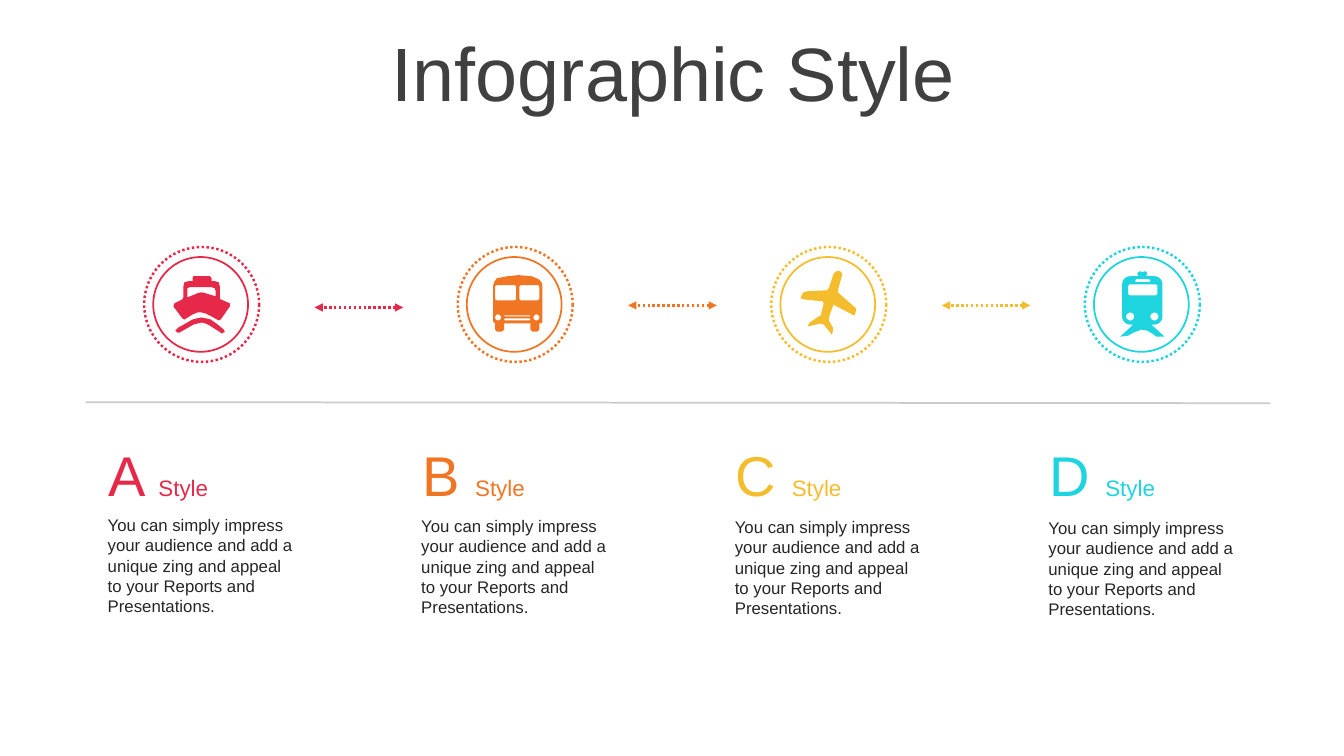
from math import cos, radians, sin

from lxml import etree
from pptx import Presentation
from pptx import util as u
from pptx.dml.color import RGBColor
from pptx.enum import dml, shapes, text
from pptx.oxml.ns import qn

PX = 9144  # one px is a hundredth of an inch
PITCH = 311
CENTRE_X, CENTRE_Y = 200, 302
BLURB = ("You can simply impress your audience and add a unique zing and "
         "appeal to your Reports and Presentations.")


def px(*lengths):
    return [u.Emu(round(length * PX)) for length in lengths]


def rgb(code):
    return RGBColor.from_string(code)


def rounded(left, top, right, bottom, radius):
    """Outline of a rectangle with rounded corners."""
    corners = [(right - radius, bottom - radius, 0),
               (left + radius, bottom - radius, 90),
               (left + radius, top + radius, 180),
               (right - radius, top + radius, 270)]
    return [(x + radius * cos(radians(start + turn)),
             y + radius * sin(radians(start + turn)))
            for x, y, start in corners for turn in range(0, 91, 15)]


def disc(x, y, radius):
    return rounded(x - radius, y - radius, x + radius, y + radius, radius)


# Icon outlines, measured from the centre of their circle
SHIP = [
    [(-8, -28), (8, -28), (10, -26), (10, -23), (13, -23), (17, -22),
     (18, -18), (18, -6), (19, -5), (28, -1), (28, 2), (19, 15), (17, 16),
     (10, 12), (4, 9), (0, 8), (-4, 8), (-9, 10), (-17, 15), (-19, 14),
     (-28, 2), (-27, -1), (-19, -5), (-18, -7), (-18, -18), (-17, -22),
     (-13, -23), (-9, -23), (-9, -26)],
    [(-12, -17), (-14, -16), (-14, -7), (-4, -11), (0, -12), (4, -11),
     (14, -8), (14, -13), (13, -16), (10, -17)],
    [(0, 13), (5, 14), (9, 15), (16, 20), (22, 25), (23, 27), (20, 29),
     (19, 28), (8, 21), (4, 19), (0, 18), (-4, 19), (-8, 20), (-22, 28),
     (-24, 28), (-26, 26), (-23, 23), (-9, 15), (-5, 14)],
]
BUS = [
    [(-22, -18), (-21, -22), (-18, -26), (-7, -28), (3, -29), (16, -28),
     (23, -25), (26, -22), (27, -18), (27, 17), (26, 19), (24, 19), (24, 25),
     (22, 27), (17, 27), (15, 25), (15, 19), (-11, 19), (-11, 25), (-13, 27),
     (-18, 27), (-20, 25), (-20, 19), (-22, 17)],
    rounded(-20, -19, 1, -4, 2),
    rounded(4, -19, 24, -4, 2),
    rounded(-11, 11, 15, 12, 0.5),
    rounded(-11, 14, 15, 16, 1),
    disc(-17, 13, 3),
    disc(21, 13, 3),
]
PLANE = [
    [(3, 30), (-5, 20), (-8, 19), (-21, 22), (-19, 18), (-10, 12), (-8, 11),
     (-5, -1), (-6, -3), (-25, -5), (-28, -6), (-27, -9), (-25, -12),
     (-21, -13), (-2, -14), (0, -16), (4, -28), (5, -31), (8, -33), (11, -33),
     (13, -31), (13, -28), (9, -14), (9, -12), (10, -11), (27, 4), (27, 6),
     (26, 10), (25, 11), (6, 1), (5, 0), (4, 2), (0, 13), (0, 16), (4, 23),
     (4, 27)],
]
TRAIN = [
    rounded(-20, -28, 20, 20, 8),
    rounded(-14, -20, 15, -9, 2),
    rounded(-7, -25, 8, -22, 1.5),
    disc(-12, 12, 4),
    disc(12, 12, 4),
    [(-4, -28), (-5, -31), (-2, -33), (0, -32), (3, -33), (5, -31), (4, -28)],
    [(-9, 20), (9, 20), (22, 32), (14, 32), (10, 29), (5, 26), (-1, 25),
     (-9, 28), (-14, 31), (-22, 32)],
]
STYLES = [("A", "E62949", SHIP), ("B", "F07624", BUS),
          ("C", "F4BD2D", PLANE), ("D", "1ED4DE", TRAIN)]


def add_text(parent, box, runs, anchor=text.MSO_ANCHOR.TOP):
    """Text box with one paragraph of (words, size, colour) runs."""
    frame = parent.add_textbox(*px(*box)).text_frame
    frame.word_wrap = True
    frame.vertical_anchor = anchor
    paragraph = frame.paragraphs[0]
    for words, size, color in runs:
        run = paragraph.add_run()
        run.text = words
        run.font.name = "Arial"
        run.font.size = u.Pt(size)
        run.font.color.rgb = rgb(color)
    return frame


def set_line(shape, color, width, dotted=False):
    shape.line.color.rgb = rgb(color)
    shape.line.width = u.Pt(width)
    if dotted:
        shape.line.dash_style = dml.MSO_LINE.ROUND_DOT


def add_line(slide, ends, color, width, arrow=False):
    line = slide.shapes.add_connector(shapes.MSO_CONNECTOR.STRAIGHT, *px(*ends))
    set_line(line, color, width, dotted=arrow)
    if arrow:
        for end in ("a:headEnd", "a:tailEnd"):
            etree.SubElement(line.line._get_or_add_ln(), qn(end), type="triangle")
    etree.SubElement(line._element.spPr, qn("a:effectLst"))


def add_circle(slide, x, y, size, color, width, dotted=False):
    circle = slide.shapes.add_shape(
        shapes.MSO_SHAPE.OVAL, *px(x - size / 2, y - size / 2, size, size))
    circle.rotation = 180
    circle.shadow.inherit = False
    circle.fill.background()
    set_line(circle, color, width, dotted)


def add_icon(slide, x, y, outlines, color):
    placed = [[px(x + dx, y + dy) for dx, dy in outline] for outline in outlines]
    builder = slide.shapes.build_freeform(*placed[0][0])
    builder.add_line_segments(placed[0][1:])
    for outline in placed[1:]:
        builder.move_to(*outline[0])
        builder.add_line_segments(outline[1:])
    icon = builder.convert_to_shape()
    icon.shadow.inherit = False
    icon.fill.solid()
    icon.fill.fore_color.rgb = rgb(color)
    icon.line.fill.background()


def add_caption(slide, index, letter, color):
    parts = slide.shapes.add_group_shape().shapes
    shift = index * PITCH
    add_text(parts, (97 + shift, 506 + index, 207, 111), [(BLURB, 12, "262626")])
    add_text(parts, (98 + shift, 432, 157, 77),
             [(f"{letter} ", 40, color), ("Style", 16, color)],
             text.MSO_ANCHOR.BOTTOM)


def main():
    deck = Presentation()
    deck.slide_width, deck.slide_height = px(1333, 750)
    slide = deck.slides.add_slide(deck.slide_layouts[6])

    # Title and divider
    title = add_text(slide.shapes, (35, 37, 1266, 79),
                     [("Infographic Style", 54, "404040")],
                     text.MSO_ANCHOR.MIDDLE).paragraphs[0]
    title.alignment = text.PP_ALIGN.CENTER
    title.line_spacing = 0.9
    add_line(slide, (85, 399, 1260, 400), "CBCBCB", 1.25)

    # Styles with their circles, icons and captions
    for index, (letter, color, outlines) in enumerate(STYLES):
        x = CENTRE_X + index * PITCH
        add_caption(slide, index, letter, color)
        add_circle(slide, x - 1, CENTRE_Y, 94, color, 1.25)
        add_circle(slide, x, CENTRE_Y, 114, color, 1.75, dotted=True)
        add_icon(slide, x, CENTRE_Y, outlines, color)

    # Arrows between the circles
    for index, (_, color, _) in enumerate(STYLES[:-1]):
        x = CENTRE_X + index * PITCH
        y = 303 if index else 305
        add_line(slide, (x + 200, y, x + 112, y), color, 1.75, arrow=True)

    deck.save("out.pptx")


if __name__ == "__main__":
    main()
